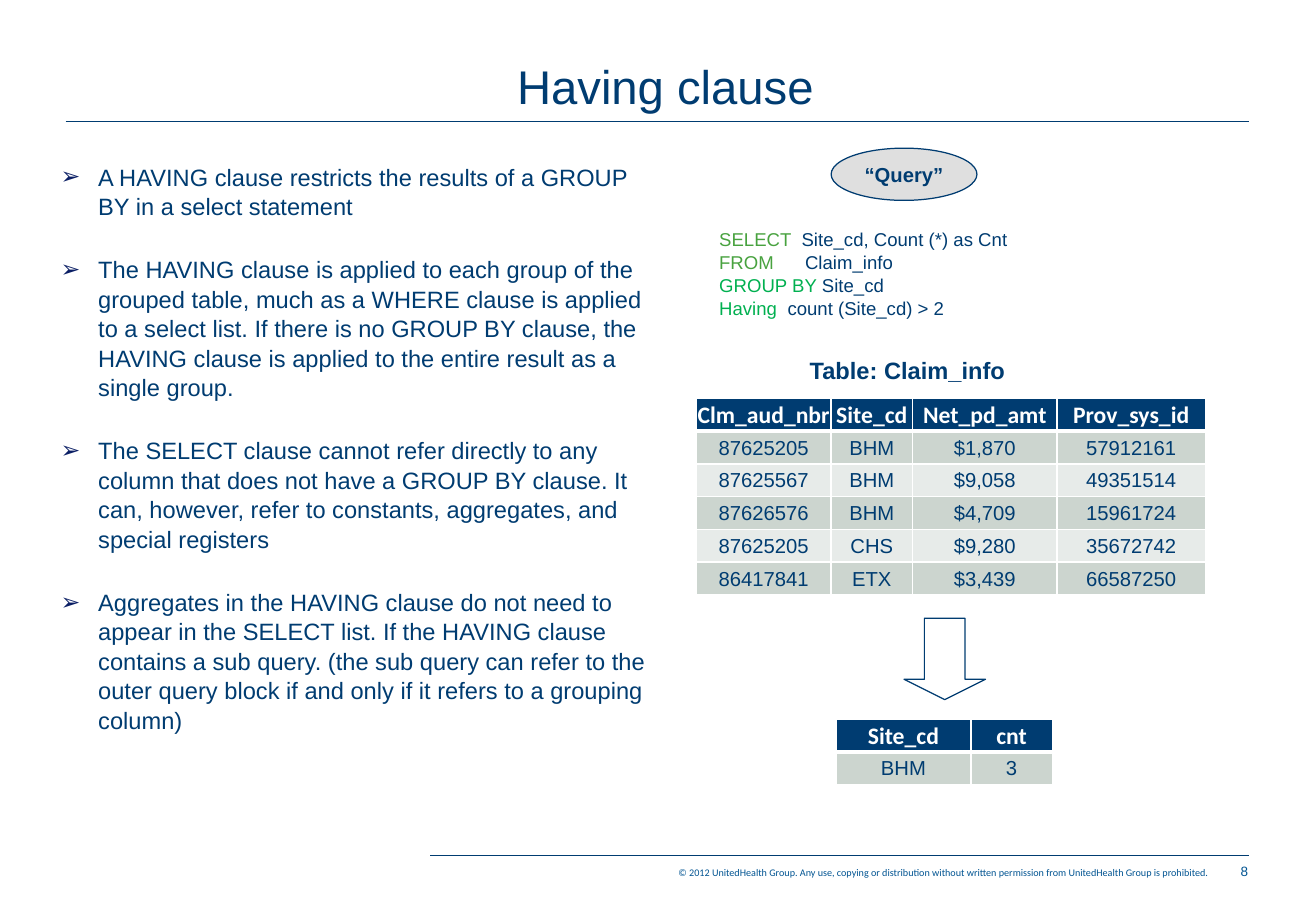
"""Build the slide on the SQL HAVING clause."""
from lxml import etree
from pptx import Presentation
from pptx.dml.color import RGBColor
from pptx.enum import shapes, text
from pptx.oxml import ns
from pptx.util import Inches, Pt

COLORS = {"navy": "003C71", "blue": "005492", "bullet": "0B1F65", "green": "48A23F",
          "bright": "00B050", "grey": "C0C0C0", "white": "FFFFFF",
          "dark_row": "CCD5CF", "light_row": "E7EBE9"}
LEFT, CENTER, RIGHT = text.PP_ALIGN.LEFT, text.PP_ALIGN.CENTER, text.PP_ALIGN.RIGHT
MIDDLE = text.MSO_ANCHOR.MIDDLE


def write(paragraph, runs, size, align=LEFT, font="Arial", bold=False):
    """Add (wording, colour) runs to a paragraph."""
    paragraph.alignment = align
    for wording, color in runs:
        run = paragraph.add_run()
        run.text = wording
        for key, value in {"name": font, "size": Pt(size), "bold": bold}.items():
            setattr(run.font, key, value)
        run.font.color.rgb = RGBColor.from_string(COLORS[color])


def add_frame(left, top, width, height, wrap=True, margin=None):
    """Add a text box and return its text frame."""
    frame = slide.shapes.add_textbox(
        Inches(left), Inches(top), Inches(width), Inches(height)).text_frame
    frame.word_wrap = wrap
    if margin is not None:
        for side in ("left", "top", "right", "bottom"):
            setattr(frame, f"margin_{side}", Inches(margin))
    return frame


prs = Presentation()
prs.slide_width, prs.slide_height = Inches(10.83), Inches(7.5)
slide = prs.slides.add_slide(prs.slide_layouts[5])

title = slide.shapes.title
for key, value in {"left": 0.56, "top": 0.23, "width": 9.83, "height": 0.76}.items():
    setattr(title, key, Inches(value))
title.text_frame.vertical_anchor = text.MSO_ANCHOR.BOTTOM
write(title.text_frame.paragraphs[0], [("Having clause", "navy")], 28, CENTER)

for start, y in [(0.54, 1), (3.54, 7.04)]:
    rule = slide.shapes.add_connector(
        shapes.MSO_CONNECTOR.STRAIGHT, Inches(start), Inches(y), Inches(10.28), Inches(y))
    rule.line.width = Pt(0.5)
    rule.line.color.rgb = RGBColor.from_string(COLORS["navy"])
    etree.SubElement(rule._element.spPr, ns.qn("a:effectLst"))

copyright_line = ("© 2012 UnitedHealth Group. Any use, copying or distribution without "
                  "written permission from UnitedHealth Group is prohibited.")
write(add_frame(3.59, 7.13, 6.35, 0.1, margin=0).paragraphs[0],
      [(copyright_line, "blue")], 6, RIGHT, "Calibri")
write(add_frame(10.02, 7.06, 0.44, 0.24).paragraphs[0], [("8", "blue")], 8, CENTER)

points = [
    "A HAVING clause restricts the results of a GROUP BY in a select statement",
    "The HAVING clause is applied to each group of the grouped table, much as a WHERE "
    "clause is applied to a select list. If there is no GROUP BY clause, the HAVING "
    "clause is applied to the entire result as a single group.",
    "The SELECT clause cannot refer directly to any column that does not have a GROUP BY "
    "clause. It can, however, refer to constants, aggregates, and special registers",
    "Aggregates in the HAVING clause do not need to appear in the SELECT list. If the "
    "HAVING clause contains a sub query. (the sub query can refer to the outer query "
    "block if and only if it refers to a grouping column)",
]
body = add_frame(0.4, 1.28, 5.08, 4.72)
for index, point in enumerate(points):
    paragraph = body.paragraphs[0] if index == 0 else body.add_paragraph()
    properties = paragraph._p.get_or_add_pPr()
    properties.set("marL", str(Inches(0.31)))
    properties.set("indent", str(-Inches(0.31)))
    bullet_color = etree.SubElement(properties, ns.qn("a:buClr"))
    etree.SubElement(bullet_color, ns.qn("a:srgbClr"), val=COLORS["bullet"])
    etree.SubElement(properties, ns.qn("a:buFont"), typeface="Arial")
    etree.SubElement(properties, ns.qn("a:buChar"), char="➢")
    paragraph.line_spacing = 1.04
    if index:
        paragraph.space_before = Pt(20)
    write(paragraph, [(point, "navy")], 14)

query = [
    [("SELECT  ", "green"), ("Site_cd, Count (*) as Cnt", "navy")],
    [("FROM      ", "green"), ("Claim_info", "navy")],
    [("GROUP BY ", "bright"), ("Site_cd", "navy")],
    [("Having  ", "bright"), ("count (Site_cd) > 2", "navy")],
]
code = add_frame(5.82, 1.82, 3.36, 0.84)
for index, runs in enumerate(query):
    paragraph = code.paragraphs[0] if index == 0 else code.add_paragraph()
    paragraph.line_spacing = 1.04
    write(paragraph, runs, 11)

write(add_frame(6.56, 2.88, 1.87, 0.34, wrap=False).paragraphs[0],
      [("Table: Claim_info ", "navy")], 14, CENTER, bold=True)

claims = [
    ["Clm_aud_nbr", "Site_cd", "Net_pd_amt", "Prov_sys_id"],
    ["87625205", "BHM", "$1,870", "57912161"],
    ["87625567", "BHM", "$9,058", "49351514"],
    ["87626576", "BHM", "$4,709", "15961724"],
    ["87625205", "CHS", "$9,280", "35672742"],
    ["86417841", "ETX", "$3,439", "66587250"],
]
result = [["Site_cd", "cnt"], ["BHM", "3"]]
for left, top, widths, rows in [(5.73, 3.28, [1.11, 0.67, 1.19, 1.22], claims),
                                (6.88, 5.92, [1.11, 0.67], result)]:
    table = slide.shapes.add_table(
        len(rows), len(widths), Inches(left), Inches(top),
        Inches(sum(widths)), Inches(0.27 * len(rows))).table
    for column, width in zip(table.columns, widths):
        column.width = Inches(width)
    for r, row in enumerate(rows):
        for c, value in enumerate(row):
            cell = table.cell(r, c)
            cell.vertical_anchor = MIDDLE
            for side, inset in {"left": 0.01, "top": 0.01, "right": 0.01, "bottom": 0}.items():
                setattr(cell, f"margin_{side}", Inches(inset))
            for edge in ("L", "R", "T", "B"):
                thick = (r, edge) in [(0, "B"), (1, "T")]
                border = etree.SubElement(cell._tc.get_or_add_tcPr(), ns.qn(f"a:ln{edge}"),
                                          w=str(Pt(3 if thick else 1)))
                border_fill = etree.SubElement(border, ns.qn("a:solidFill"))
                etree.SubElement(border_fill, ns.qn("a:srgbClr"), val=COLORS["white"])
            shade = "navy" if r == 0 else "dark_row" if r % 2 else "light_row"
            cell.fill.solid()
            cell.fill.fore_color.rgb = RGBColor.from_string(COLORS[shade])
            paragraph = cell.text_frame.paragraphs[0]
            if r == 0:
                write(paragraph, [(value, "white")], 14, CENTER, "Calibri", True)
            else:
                write(paragraph, [(value, "navy")], 12, CENTER)

arrow = slide.shapes.add_shape(shapes.MSO_SHAPE.DOWN_ARROW, Inches(7.44), Inches(5.09),
                               Inches(0.67), Inches(0.67))
arrow.adjustments[0], arrow.adjustments[1] = 0.5, 0.25
arrow.fill.background()

badge = slide.shapes.add_shape(shapes.MSO_SHAPE.OVAL, Inches(6.84), Inches(1.22),
                               Inches(1.2), Inches(0.43))
badge.fill.solid()
badge.fill.fore_color.rgb = RGBColor.from_string(COLORS["grey"])
tint = badge._element.spPr.find(".//" + ns.qn("a:srgbClr"))
etree.SubElement(tint, ns.qn("a:alpha"), val="50000")
badge.text_frame.word_wrap = False
badge.text_frame.vertical_anchor = MIDDLE
write(badge.text_frame.paragraphs[0], [("“Query”", "navy")], 12, CENTER, bold=True)

for outlined in (arrow, badge):
    outlined.shadow.inherit = False
    outlined.line.width = Pt(0.75)
    outlined.line.color.rgb = RGBColor.from_string(COLORS["navy"])

prs.save("out.pptx")
